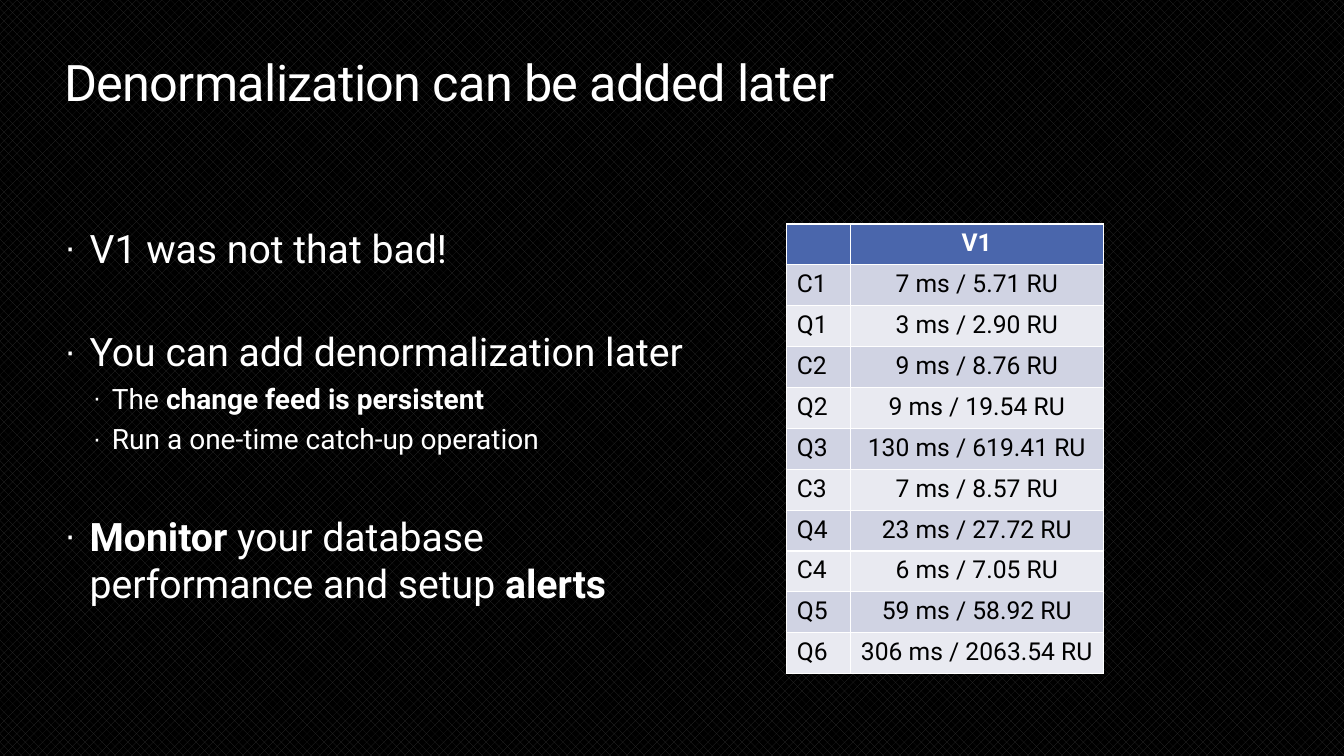
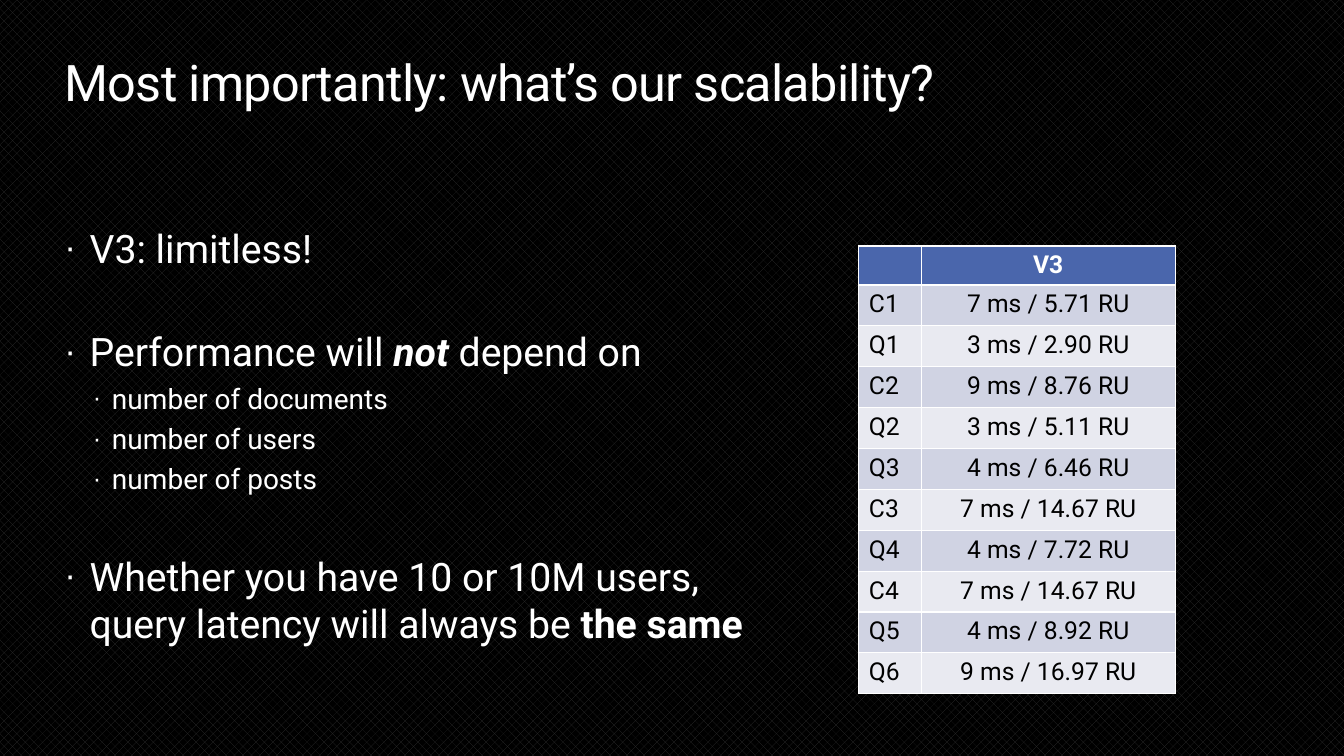
from lxml import etree
from pptx import Presentation
from pptx.dml.color import RGBColor
from pptx.enum import dml, text
from pptx.oxml.ns import qn
from pptx.util import Pt

FONT = "Roboto"
WHITE = RGBColor(0xFF, 0xFF, 0xFF)
BLACK = RGBColor(0x00, 0x00, 0x00)
WEAVE = RGBColor(0x2F, 0x2F, 0x2F)
HEADER = RGBColor(0x4A, 0x66, 0xAC)
BANDS = [RGBColor(0xE9, 0xEA, 0xF1), RGBColor(0xD0, 0xD3, 0xE3)]

# Per level: text size, left margin, hanging indent, space before
LEVELS = [(28, 18, 18, 12.2), (20, 34, 13.7, 4.7)]
GROUP_GAP = 40.5
ROW_HEIGHT = 29.2
QUERIES = ["C1", "Q1", "C2", "Q2", "Q3", "C3", "Q4", "C4", "Q5", "Q6"]

# Each bullet: level, then runs of (text, style), where b is bold and i italic
SLIDES = [
    {
        "title": "Denormalization can be added later",
        "body_size": (458.6, 356.4),
        "bullets": [
            (0, [("V1 was not that bad!", "")]),
            (0, [("You can add denormalization later", "")]),
            (1, [("The ", ""), ("change feed is persistent", "b")]),
            (1, [("Run a one-time catch-up operation", "")]),
            (0, [("Monitor", "b"), (" your database performance and setup ", ""),
                 ("alerts", "b")]),
        ],
        "version": "V1",
        "table_at": (562, 160),
        "columns": (45.4, 180.7),
        "header_height": ROW_HEIGHT,
        "results": ["7 ms / 5.71 RU", "3 ms / 2.90 RU", "9 ms / 8.76 RU",
                    "9 ms / 19.54 RU", "130 ms / 619.41 RU", "7 ms / 8.57 RU",
                    "23 ms / 27.72 RU", "6 ms / 7.05 RU", "59 ms / 58.92 RU",
                    "306 ms / 2063.54 RU"],
    },
    {
        "title": "Most importantly: what’s our scalability?",
        "body_size": (506.9, 351.4),
        "bullets": [
            (0, [("V3: limitless!", "")]),
            (0, [("Performance will ", ""), ("not", "bi"), (" depend on", "")]),
            (1, [("number of documents", "")]),
            (1, [("number of users", "")]),
            (1, [("number of posts", "")]),
            (0, [("Whether you have 10 or 10M users, query latency will always be ", ""),
                 ("the same", "b")]),
        ],
        "version": "V3",
        "table_at": (613.5, 175.7),
        "columns": (44.6, 181.4),
        "header_height": 27.8,
        "results": ["7 ms / 5.71 RU", "3 ms / 2.90 RU", "9 ms / 8.76 RU",
                    "3 ms / 5.11 RU", "4 ms / 6.46 RU", "7 ms / 14.67 RU",
                    "4 ms / 7.72 RU", "7 ms / 14.67 RU", "4 ms / 8.92 RU",
                    "9 ms / 16.97 RU"],
    },
]


def place(box, left, top, width, height, anchor):
    """Move a text placeholder and take away its insets."""
    box.left, box.top, box.width, box.height = map(Pt, (left, top, width, height))
    frame = box.text_frame
    frame.margin_left = frame.margin_top = frame.margin_right = frame.margin_bottom = 0
    frame.vertical_anchor = anchor
    frame.auto_size = text.MSO_AUTO_SIZE.NONE
    frame.word_wrap = True


def set_font(para, size, color, bold=False):
    para.font.name = FONT
    para.font.size = Pt(size)
    para.font.color.rgb = color
    para.font.bold = bold


deck = Presentation()
deck.slide_width, deck.slide_height = Pt(960), Pt(540)

# Shared background and title position
backdrop = deck.slide_master.background.fill
backdrop.patterned()
backdrop.pattern = dml.MSO_PATTERN.from_xml("pct40")
backdrop.fore_color.rgb = WEAVE
backdrop.back_color.rgb = BLACK
layout = deck.slide_layouts[1]
place(layout.placeholders[0], 46, 36, 720, 44, text.MSO_ANCHOR.MIDDLE)

for content in SLIDES:
    page = deck.slides.add_slide(layout)

    # Title
    para = page.shapes.title.text_frame.paragraphs[0]
    para.alignment = text.PP_ALIGN.LEFT
    span = para.add_run()
    span.text = content["title"]
    set_font(para, 36, WHITE)
    span.font._element.set("spc", "-50")

    # Bullets
    body = page.placeholders[1]
    place(body, 46, 160, *content["body_size"], text.MSO_ANCHOR.TOP)
    for index, (level, runs) in enumerate(content["bullets"]):
        frame = body.text_frame
        para = frame.add_paragraph() if index else frame.paragraphs[0]
        size, margin, hanging, space = LEVELS[level]
        para.level = level
        para.space_before = Pt(0 if index == 0 else space if level else GROUP_GAP)
        props = para._p.get_or_add_pPr()
        props.set("marL", str(Pt(margin)))
        props.set("indent", str(-Pt(hanging)))
        color = etree.SubElement(props, qn("a:buClr"))
        etree.SubElement(color, qn("a:srgbClr"), val=str(WHITE))
        etree.SubElement(props, qn("a:buSzPct"), val="90000")
        etree.SubElement(props, qn("a:buChar"), char="·")
        set_font(para, size, WHITE)
        for words, style in runs:
            span = para.add_run()
            span.text = words
            if "b" in style:
                span.font.bold = True
            if "i" in style:
                span.font.italic = True

    # Results table
    rows = [("", content["version"]), *zip(QUERIES, content["results"])]
    heights = [content["header_height"]] + [ROW_HEIGHT] * len(QUERIES)
    left, top = content["table_at"]
    table = page.shapes.add_table(len(rows), 2, Pt(left), Pt(top),
                                  Pt(sum(content["columns"])), Pt(sum(heights))).table
    for column, width in zip(table.columns, content["columns"]):
        column.width = Pt(width)
    for r, values in enumerate(rows):
        table.rows[r].height = Pt(heights[r])
        for c, value in enumerate(values):
            cell = table.cell(r, c)
            cell.fill.solid()
            cell.fill.fore_color.rgb = BANDS[r % 2] if r else HEADER
            para = cell.text_frame.paragraphs[0]
            para.alignment = text.PP_ALIGN.CENTER if c else text.PP_ALIGN.LEFT
            set_font(para, 17.6, BLACK if r else WHITE, bold=r == 0)
            if value:
                para.add_run().text = value
            else:
                etree.SubElement(para._p, qn("a:endParaRPr"), sz="1760")

deck.save("out.pptx")
